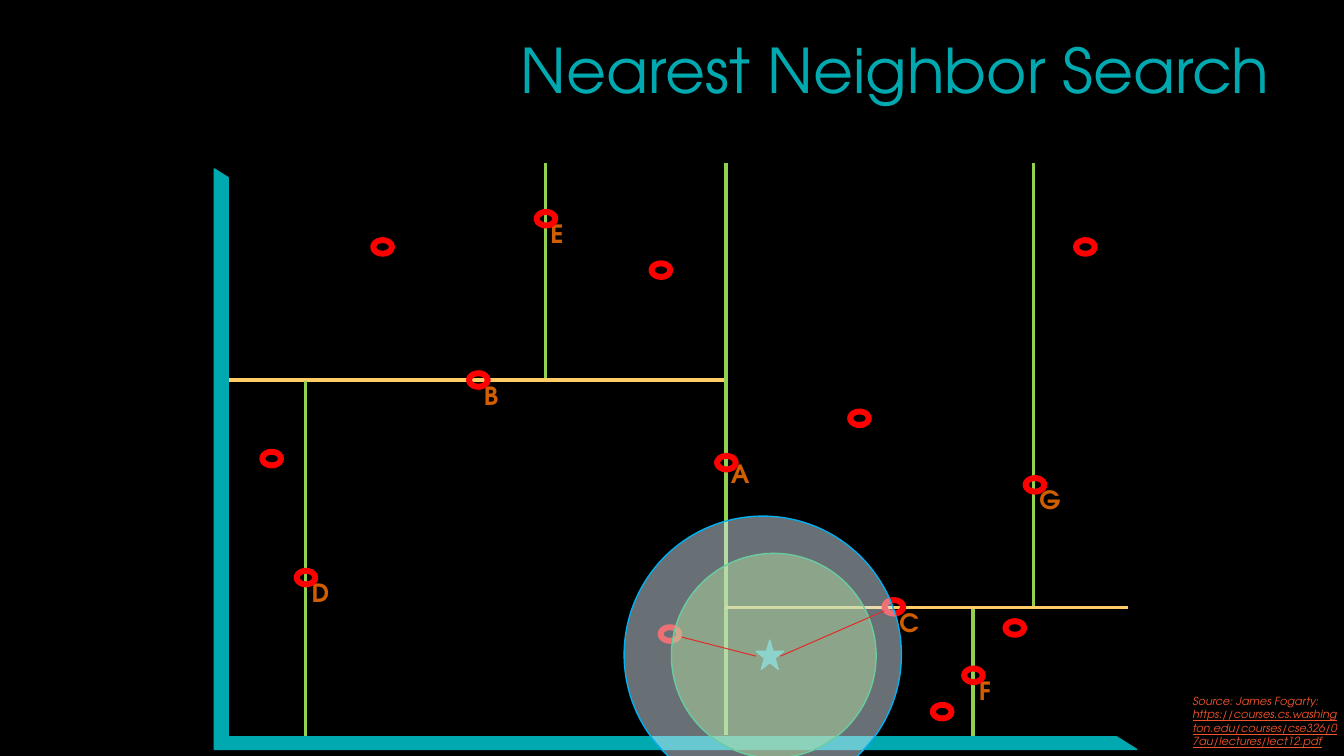
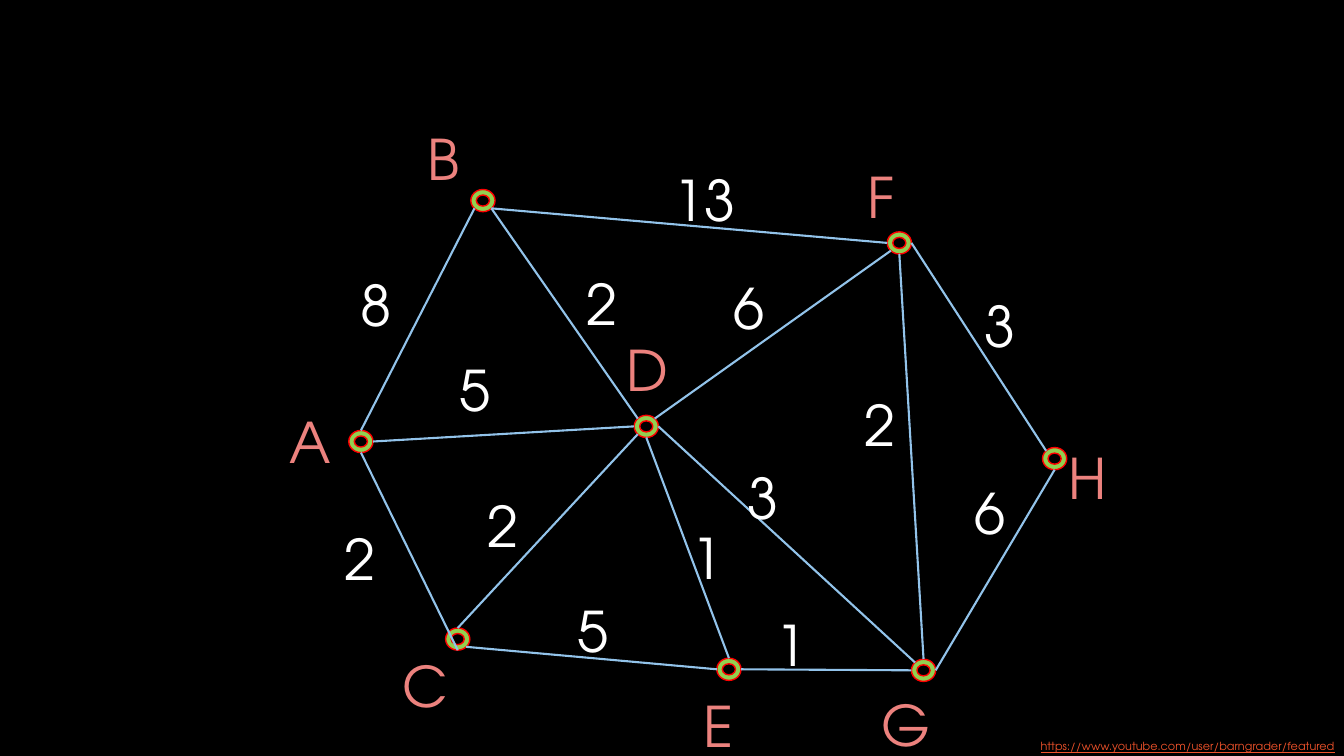
from lxml import etree
from pptx import Presentation, util as u
from pptx.dml.color import RGBColor
from pptx.enum import shapes, text
from pptx.oxml import ns

PX = 9144
FONT = "TeX Gyre Adventor"
BLACK = RGBColor(0x00, 0x00, 0x00)
WHITE = RGBColor(0xFF, 0xFF, 0xFF)
TEAL = RGBColor(0x00, 0xA9, 0xB0)
GREEN = RGBColor(0x92, 0xD0, 0x50)
DARK_GREEN = RGBColor(0x00, 0xB0, 0x50)
GOLD = RGBColor(0xFF, 0xCC, 0x66)
ORANGE = RGBColor(0xD1, 0x5E, 0x01)
RED = RGBColor(0xFF, 0x00, 0x00)
RAY_RED = RGBColor(0xDF, 0x2E, 0x28)
BLUE = RGBColor(0x00, 0xB0, 0xF0)
PALE_BLUE = RGBColor(0xDB, 0xEB, 0xF8)
EDGE_BLUE = RGBColor(0x92, 0xC3, 0xEA)
SALMON = RGBColor(0xEC, 0x82, 0x7E)
LINK = RGBColor(0xF0, 0x53, 0x2B)

KIND = shapes.MSO_SHAPE
LEFT, RIGHT = text.PP_ALIGN.LEFT, text.PP_ALIGN.RIGHT
TOP, MIDDLE = text.MSO_ANCHOR.TOP, text.MSO_ANCHOR.MIDDLE

TITLE = "Nearest Neighbor Search"
POINT_SIZE = (23, 18)
SPLITS = [
    ("A", (709, 450), (725, 455), (720, 162, 720, 729), GREEN),
    ("B", (463, 368), (480, 377), (227, 377, 718, 377), GOLD),
    ("C", (875, 593), (892, 603), (719, 603, 1119, 603), GOLD),
    ("D", (292, 564), (309, 573), (303, 378, 303, 730), GREEN),
    ("E", (530, 208), (546, 217), (541, 162, 541, 375), GREEN),
    ("F", (954, 661), (971, 670), (965, 604, 965, 730), GREEN),
    ("G", (1015, 472), (1031, 481), (1025, 162, 1025, 601), GREEN),
]
LEAVES = [(644, 259), (368, 236), (653, 620), (258, 446),
          (841, 406), (1065, 236), (923, 697), (995, 614)]
SEARCH_CIRCLES = [((666, 549, 203, 203), GREEN, DARK_GREEN),
                  ((619, 512, 275, 275), PALE_BLUE, BLUE)]
RAYS = [(774, 651, 877, 606), (750, 651, 676, 632)]
SEARCH_SOURCE = [
    ("Source: James Fogarty: ", {"italic": True}),
    ("https://courses.cs.washington.edu/courses/cse326/07au/lectures/lect12.pdf",
     {"italic": True, "underline": True}),
]
GRAPH_SOURCE = [("https://www.youtube.com/user/barngrader/featured", {"underline": True})]

NODE_SIZE = (24, 22)
LABEL_SIZE = (53, 77)
NODES = {
    "A": ((346, 427), (277, 399)),
    "B": ((467, 188), (414, 119)),
    "C": ((442, 623), (389, 641)),
    "D": ((629, 412), (612, 328)),
    "E": ((711, 653), (688, 681)),
    "F": ((880, 230), (851, 156)),
    "G": ((904, 654), (864, 680)),
    "H": ((1034, 444), (1050, 435)),
}
SITES = {"n": (0.5, 0), "s": (0.5, 1), "w": (0, 0.5), "e": (1, 0.5),
         "nw": (0.15, 0.15), "ne": (0.85, 0.15),
         "sw": (0.15, 0.85), "se": (0.85, 0.85)}
EDGES = [
    ("A", "n", "B", "sw", "8", (348, 263)),
    ("A", "s", "C", "s", "2", (332, 515)),
    ("A", "e", "D", "w", "5", (446, 348)),
    ("F", "w", "B", "se", "13", (658, 159)),
    ("D", "ne", "F", "sw", "6", (718, 266)),
    ("G", "n", "F", "s", "2", (848, 383)),
    ("E", "n", "D", "s", "1", (676, 514)),
    ("C", "n", "D", "sw", "2", (474, 483)),
    ("C", "se", "E", "w", "5", (563, 587)),
    ("D", "e", "G", "nw", "3", (732, 455)),
    ("E", "e", "G", "w", "1", (759, 601)),
    ("D", "nw", "B", "se", "2", (572, 262)),
    ("H", "nw", "F", "e", "3", (967, 284)),
    ("H", "s", "G", "e", "6", (957, 470)),
]


def emu(lengths):
    return [u.Emu(round(n * PX)) for n in lengths]


def set_all(target, values):
    for name, value in values.items():
        setattr(target, name, value)


def add_run(p, words, color, **font):
    r = p.add_run()
    r.text = words
    set_all(r.font, {"name": FONT, **font})
    r.font.color.rgb = color


def add_preset(parent, kind, box, fill, line, alpha=None):
    sp = parent.shapes.add_shape(kind, *emu(box))
    sp.shadow.inherit = False
    sp.fill.solid()
    sp.fill.fore_color.rgb = fill
    sp.line.color.rgb = line
    sp.line.width = u.Pt(1)
    if alpha:
        color = sp._element.spPr.find(ns.qn("a:solidFill"))[0]
        etree.SubElement(color, ns.qn("a:alpha"), val=str(alpha * 1000))
    return sp


def add_line(parent, ends, color, width):
    line = parent.shapes.add_connector(shapes.MSO_CONNECTOR.STRAIGHT, *emu(ends))
    line.line.color.rgb = color
    line.line.width = u.Pt(width)
    etree.SubElement(line._element.spPr, ns.qn("a:effectLst"))


def add_text(parent, box, runs, color, size, align=LEFT, anchor=TOP, inset=None, bold=False):
    tf = parent.shapes.add_textbox(*emu(box)).text_frame
    set_all(tf, {"word_wrap": True, "vertical_anchor": anchor})
    if inset is not None:
        set_all(tf, {f"margin_{side}": inset for side in ("left", "top", "right", "bottom")})
    p = tf.paragraphs[0]
    p.alignment = align
    for words, font in runs:
        add_run(p, words, color, size=u.Pt(size), bold=bold, **font)


def add_source(s, box, runs, align=LEFT):
    add_text(s, box, runs, LINK, 8, align, MIDDLE)


def add_title(s, words):
    sp = s.shapes.title
    set_all(sp, dict(zip(("left", "top", "width", "height"), emu((120, 26, 1150, 93)))))
    tf = sp.text_frame
    set_all(tf, {"vertical_anchor": MIDDLE, "word_wrap": True,
                 "auto_size": text.MSO_AUTO_SIZE.NONE})
    p = tf.paragraphs[0]
    set_all(p, {"alignment": RIGHT, "line_spacing": 0.9})
    add_run(p, words, TEAL, size=u.Pt(44))


def build_search(prs):
    s = prs.slides.add_slide(prs.slide_layouts[5])
    add_title(s, TITLE)
    axes = add_preset(s, KIND.HALF_FRAME, (382, -2, 576, 915), TEAL, TEAL)
    axes.rotation = 270
    axes.adjustments[0], axes.adjustments[1] = 0.024, 0.022
    for name, point, label, ends, color in SPLITS:
        add_line(s, ends, color, 2.25)
        add_text(s, (*label, 24, 30), [(name, {})], ORANGE, 18, inset=0, bold=True)
        add_preset(s, KIND.DONUT, point + POINT_SIZE, RED, RED)
    for point in LEAVES:
        add_preset(s, KIND.DONUT, point + POINT_SIZE, RED, RED)
    add_preset(s, KIND.STAR_5_POINT, (750, 635, 27, 29), BLUE, BLUE)
    for box, fill, line in SEARCH_CIRCLES:
        add_preset(s, KIND.OVAL, box, fill, line, alpha=48)
    for ends in RAYS:
        add_line(s, ends, RAY_RED, 0.75)
    add_source(s, (1173, 692, 164, 47), SEARCH_SOURCE)


def node_site(name, site):
    return [start + size * part
            for start, size, part in zip(NODES[name][0], NODE_SIZE, SITES[site])]


def build_graph(prs):
    s = prs.slides.add_slide(prs.slide_layouts[6])
    graph = s.shapes.add_group_shape()
    for point, _ in NODES.values():
        add_preset(graph, KIND.DONUT, point + NODE_SIZE, GREEN, RED)
    for start, start_site, end, end_site, _, _ in EDGES:
        add_line(graph, node_site(start, start_site) + node_site(end, end_site), EDGE_BLUE, 1.5)
    labels = [(name, at, SALMON) for name, (_, at) in NODES.items()]
    labels += [(weight, at, WHITE) for *_, weight, at in EDGES]
    for words, at, color in labels:
        width, height = LABEL_SIZE
        add_text(graph, (*at, width * len(words), height), [(words, {})], color, 40)
    add_source(s, (954, 720, 380, 40), GRAPH_SOURCE, RIGHT)


def main():
    prs = Presentation()
    prs.slide_width, prs.slide_height = emu((1333, 750))
    backdrop = prs.slide_master.background.fill
    backdrop.solid()
    backdrop.fore_color.rgb = BLACK
    build_search(prs)
    build_graph(prs)
    prs.save("out.pptx")


if __name__ == "__main__":
    main()
